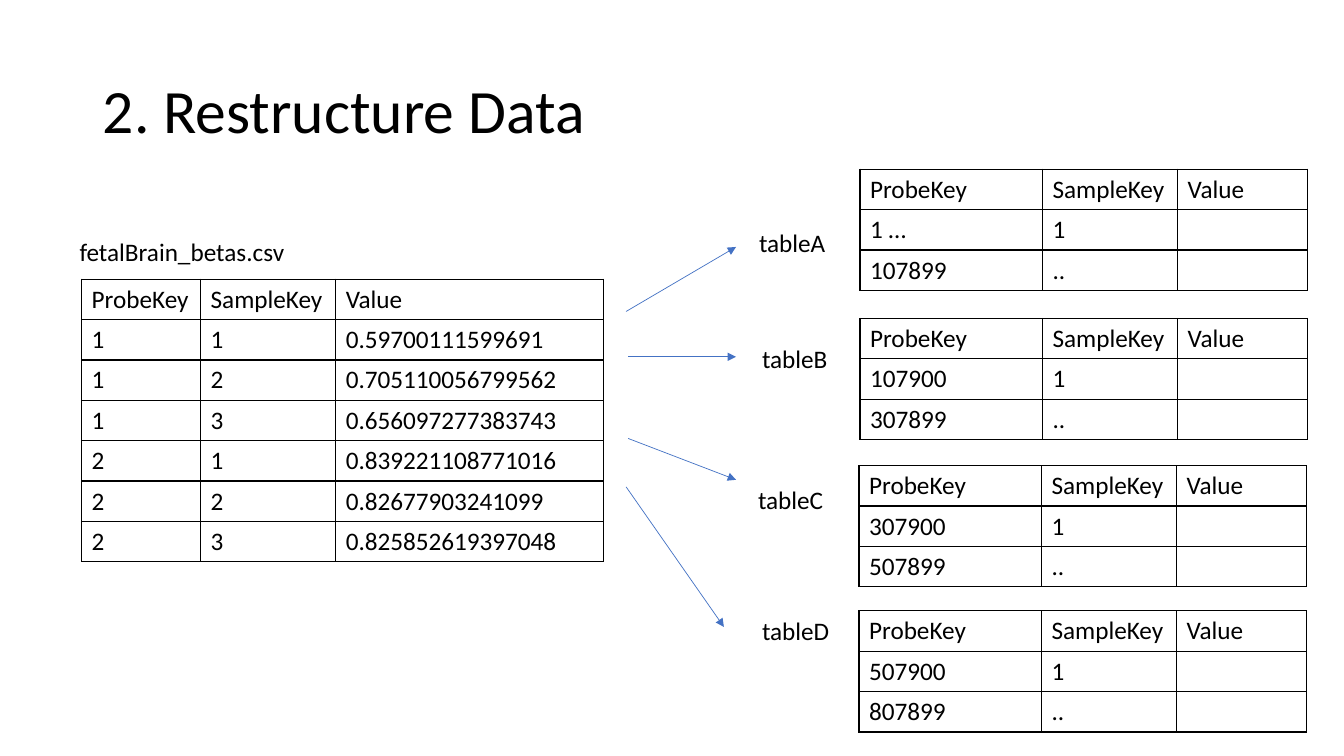
"""Build the slide that shows one CSV file restructured into four tables."""
from lxml import etree
from pptx import Presentation
from pptx import util as u
from pptx.dml.color import RGBColor
from pptx.enum import shapes, text
from pptx.oxml import ns

COLORS = {"ink": "000000", "arrow": "4472C4", "paper": "FFFFFF"}
FONT = "Calibri"
ROW_HEIGHT = 0.4
HEADER = ("ProbeKey", "SampleKey", "Value")
BETAS = (
    ("1", "1", "0.59700111599691"),
    ("1", "2", "0.705110056799562"),
    ("1", "3", "0.656097277383743"),
    ("2", "1", "0.839221108771016"),
    ("2", "2", "0.82677903241099"),
    ("2", "3", "0.825852619397048"),
)
PARTS = (
    ("tableA", (7.43, 2.21), (8.53, 1.68), ("1 …", "107899"), (6.21, 3.09, 7.3, 2.45)),
    ("tableB", (7.46, 3.36), (8.53, 3.16), ("107900", "307899"), (6.23, 3.54, 7.3, 3.54)),
    ("tableC", (7.42, 4.76), (8.52, 4.62), ("307900", "507899"), (6.23, 4.35, 7.3, 4.76)),
    ("tableD", (7.46, 6.06), (8.52, 6.06), ("507900", "807899"), (6.21, 4.83, 7.18, 6.22)),
)


def color(name):
    return RGBColor.from_string(COLORS[name])


def format_text(frame, size):
    for paragraph in frame.paragraphs:
        paragraph.font.size = u.Pt(size)
        for run in paragraph.runs:
            run.font.name = FONT
            run.font.size = u.Pt(size)
            run.font.color.rgb = color("ink")


def set_title(slide, wording):
    title = slide.shapes.title
    title.left, title.top = u.Inches(0.92), u.Inches(0.4)
    title.width, title.height = u.Inches(11.5), u.Inches(1.45)
    frame = title.text_frame
    frame.text = wording
    frame.auto_size = text.MSO_AUTO_SIZE.NONE
    frame.vertical_anchor = text.MSO_ANCHOR.MIDDLE
    frame.paragraphs[0].alignment = text.PP_ALIGN.LEFT
    frame.paragraphs[0].line_spacing = 0.9
    format_text(frame, 44)


def add_label(slide, wording, left, top, width):
    box = slide.shapes.add_textbox(*map(u.Inches, (left, top, width, 0.4)))
    frame = box.text_frame
    frame.text = wording
    frame.word_wrap = False
    frame.auto_size = text.MSO_AUTO_SIZE.SHAPE_TO_FIT_TEXT
    format_text(frame, 18)


def add_borders(cell):
    properties = cell._tc.get_or_add_tcPr()
    for side in ("lnL", "lnR", "lnT", "lnB"):
        line = etree.SubElement(properties, ns.qn(f"a:{side}"), w=str(u.Pt(1)))
        fill = etree.SubElement(line, ns.qn("a:solidFill"))
        etree.SubElement(fill, ns.qn("a:srgbClr"), val=COLORS["ink"])


def add_grid(slide, left, top, widths, rows):
    size = (sum(widths), ROW_HEIGHT * len(rows))
    frame = slide.shapes.add_table(
        len(rows), len(widths), *map(u.Inches, (left, top, *size)))
    table = frame.table
    table.first_row = table.horz_banding = False
    for column, width in zip(table.columns, widths):
        column.width = u.Inches(width)
    for row, values in zip(table.rows, rows):
        row.height = u.Inches(ROW_HEIGHT)
        for cell, value in zip(row.cells, values):
            cell.text = value
            format_text(cell.text_frame, 18)
            add_borders(cell)
            cell.fill.background()


def add_arrow(slide, ends):
    arrow = slide.shapes.add_connector(
        shapes.MSO_CONNECTOR.STRAIGHT, *map(u.Inches, ends))
    arrow.line.color.rgb = color("arrow")
    arrow.line.width = u.Pt(0.5)
    etree.SubElement(arrow.line._get_or_add_ln(), ns.qn("a:tailEnd"), type="triangle")
    etree.SubElement(arrow._element.spPr, ns.qn("a:effectLst"))


def main():
    presentation = Presentation()
    presentation.slide_width = u.Inches(13.33)
    presentation.slide_height = u.Inches(7.5)
    slide = presentation.slides.add_slide(presentation.slide_layouts[5])
    slide.background.fill.solid()
    slide.background.fill.fore_color.rgb = color("paper")
    set_title(slide, "2. Restructure Data")
    add_label(slide, "fetalBrain_betas.csv", 0.69, 2.3, 2.25)
    add_grid(slide, 0.81, 2.77, (1.18, 1.34, 2.66), (HEADER, *BETAS))
    for name, label_at, table_at, (first, last), arrow_ends in PARTS:
        add_arrow(slide, arrow_ends)
        add_label(slide, name, *label_at, 0.87)
        rows = (HEADER, (first, "1", ""), (last, "..", ""))
        add_grid(slide, *table_at, (1.81, 1.34, 1.29), rows)
    presentation.save("out.pptx")


if __name__ == "__main__":
    main()
